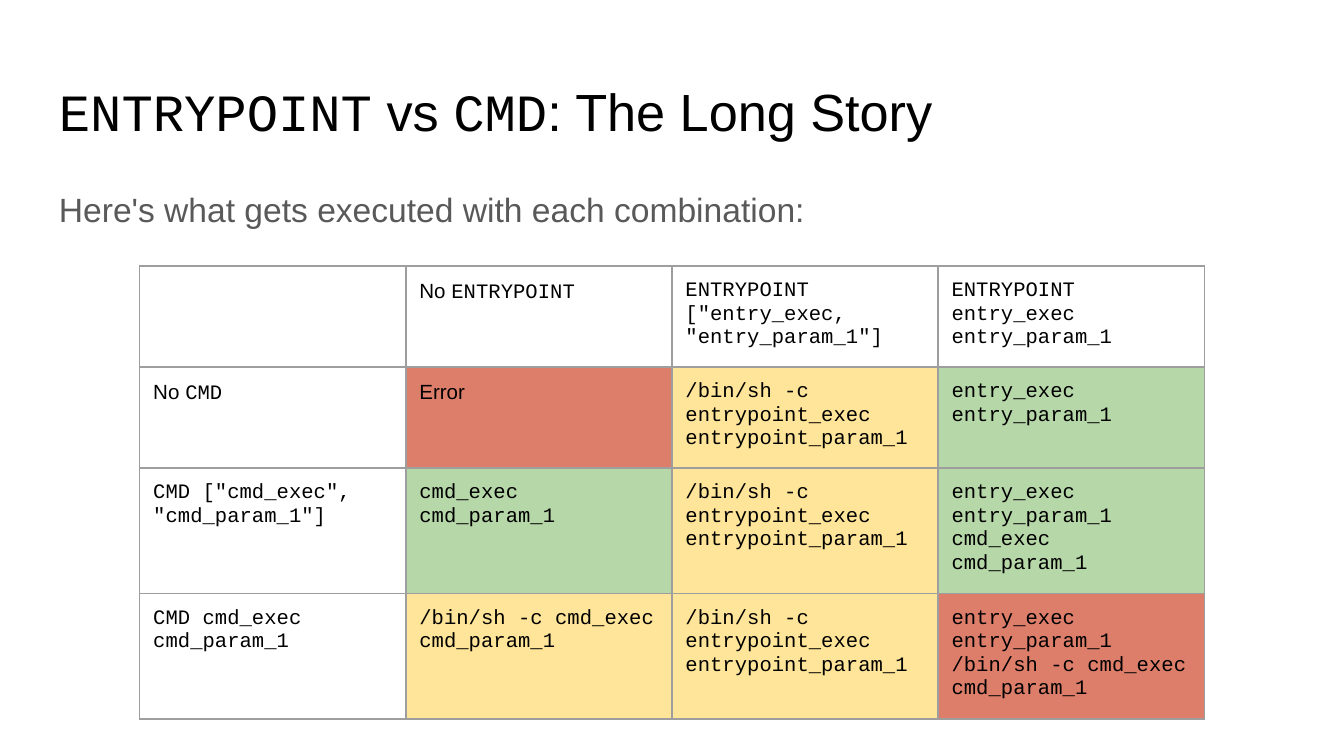
from lxml import etree
from pptx import Presentation
from pptx import util as u
from pptx.dml.color import RGBColor
from pptx.enum import text
from pptx.oxml.ns import qn

BLACK = RGBColor(0x00, 0x00, 0x00)
GREY = RGBColor(0x59, 0x59, 0x59)
BORDER = RGBColor(0x9E, 0x9E, 0x9E)
RED = RGBColor(0xDD, 0x7E, 0x6B)
YELLOW = RGBColor(0xFF, 0xE5, 0x99)
GREEN = RGBColor(0xB6, 0xD7, 0xA8)

SANS, MONO = "Arial", "Courier New"
SIDES = ("left", "top", "right", "bottom")

EXEC_ENTRY = [("/bin/sh -c entrypoint_exec entrypoint_param_1", MONO)]
ROWS = [
    [
        ([], None),
        ([("No ", SANS), ("ENTRYPOINT", MONO)], None),
        ([('ENTRYPOINT ["entry_exec, "entry_param_1"]', MONO)], None),
        ([("ENTRYPOINT entry_exec entry_param_1", MONO)], None),
    ],
    [
        ([("No ", SANS), ("CMD", MONO)], None),
        ([("Error", SANS)], RED),
        (EXEC_ENTRY, YELLOW),
        ([("entry_exec entry_param_1", MONO)], GREEN),
    ],
    [
        ([('CMD ["cmd_exec", "cmd_param_1"]', MONO)], None),
        ([("cmd_exec cmd_param_1", MONO)], GREEN),
        (EXEC_ENTRY, YELLOW),
        ([("entry_exec entry_param_1 cmd_exec cmd_param_1", MONO)], GREEN),
    ],
    [
        ([("CMD cmd_exec cmd_param_1", MONO)], None),
        ([("/bin/sh -c cmd_exec cmd_param_1", MONO)], YELLOW),
        (EXEC_ENTRY, YELLOW),
        ([("entry_exec entry_param_1 /bin/sh -c cmd_exec cmd_param_1", MONO)], RED),
    ],
]


def apply_format(obj, values):
    """Set each named attribute on the object."""
    for name, value in values.items():
        setattr(obj, name, value)


def add_runs(p, runs, size, color):
    """Add (wording, font) runs to a paragraph."""
    for wording, font in runs:
        r = p.add_run()
        r.text = wording
        apply_format(r.font, {"name": font, "size": u.Pt(size)})
        r.font.color.rgb = color


def add_text(s, box, runs, size, color, paragraph_format):
    """Place one paragraph in a text box."""
    sp = s.shapes.add_textbox(*map(u.Inches, box))
    tf = sp.text_frame
    apply_format(tf, {"word_wrap": True, "vertical_anchor": text.MSO_ANCHOR.TOP})
    apply_format(tf, {f"margin_{side}": u.Inches(0.1) for side in SIDES})
    p = tf.paragraphs[0]
    apply_format(p, paragraph_format)
    add_runs(p, runs, size, color)


def add_borders(cell):
    """Outline all four sides of a table cell."""
    tc_pr = cell._tc.get_or_add_tcPr()
    for side in "LRTB":
        ln = etree.SubElement(tc_pr, qn(f"a:ln{side}"), w=str(u.Pt(0.75)))
        fill = etree.SubElement(ln, qn("a:solidFill"))
        etree.SubElement(fill, qn("a:srgbClr"), val=str(BORDER))


def add_matrix(s, box, rows, column_width, row_height):
    """Place the table of combinations, whose rows grow with their text."""
    left, top, width, height = map(u.Inches, box)
    shape = s.shapes.add_table(len(rows), len(rows[0]), left, top, width, height)
    table = shape.table
    apply_format(table, {"first_row": False, "horz_banding": False})
    for column in table.columns:
        column.width = u.Inches(column_width)
    for row in table.rows:
        row.height = u.Inches(row_height)
    apply_format(shape, {"width": width, "height": height})
    for i, row in enumerate(rows):
        for j, (runs, color) in enumerate(row):
            cell = table.cell(i, j)
            apply_format(cell, {f"margin_{side}": u.Inches(0.1) for side in SIDES})
            add_borders(cell)
            if color is None:
                cell.fill.background()
            else:
                cell.fill.solid()
                cell.fill.fore_color.rgb = color
            add_runs(cell.text_frame.paragraphs[0], runs, 11, BLACK)


def build_slide(prs):
    """Lay out the title, the lead-in and the matrix."""
    s = prs.slides.add_slide(prs.slide_layouts[6])
    title = [("ENTRYPOINT", MONO), (" vs ", SANS), ("CMD", MONO), (": The Long Story", SANS)]
    lead = [("Here's what gets executed with each combination:", SANS)]
    add_text(s, (0.34, 0.49, 9.32, 0.63), title, 28, BLACK, {})
    add_text(s, (0.34, 1.26, 9.32, 3.74), lead, 18, GREY,
             {"line_spacing": 1.15, "space_after": u.Pt(16)})
    add_matrix(s, (1.04, 1.98, 3.28, 3.28), ROWS, 1.98, 0.42)


def main():
    """Build and save the presentation."""
    prs = Presentation()
    apply_format(prs, {"slide_width": u.Inches(10), "slide_height": u.Inches(10 * 9 / 16)})
    build_slide(prs)
    prs.save("out.pptx")


if __name__ == "__main__":
    main()
